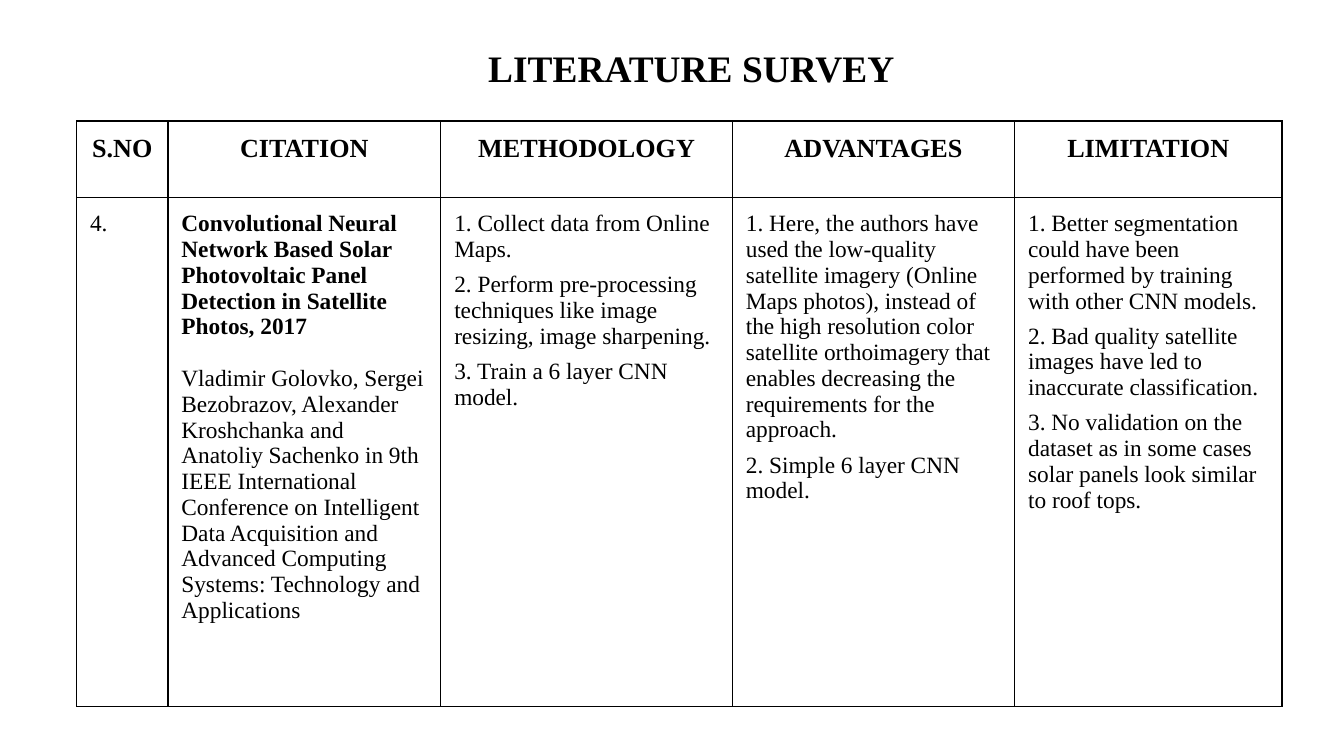
from dataclasses import dataclass

from lxml.etree import SubElement
from pptx import Presentation
from pptx.dml.color import RGBColor
from pptx.enum.text import MSO_ANCHOR as Anchor, MSO_AUTO_SIZE as AutoSize, PP_ALIGN as Align
from pptx.oxml.ns import qn
from pptx.util import Inches, Pt


@dataclass(frozen=True)
class Theme:
    """Colours, font and type sizes of the slide."""
    font: str = "Times New Roman"
    ink: str = "000000"
    title: float = 20
    header: float = 14
    body: float = 12.5
    border: float = 0.75
    gap: float = 5
    citation_gap: float = 13.84


THEME = Theme()
SLIDE_WIDTH = 10
SLIDE_HEIGHT = SLIDE_WIDTH * 9 / 16
COLS = [0.68, 2.03, 2.17, 2.1, 1.99]
ROWS = [0.57, 3.79]
MARGINS = {f"margin_{side}": Inches(0.1) for side in ("left", "top", "right", "bottom")}
HEADERS = ["S.NO", "CITATION", "METHODOLOGY", "ADVANTAGES", "LIMITATION"]
ENTRY = [
    ["4."],
    ["Convolutional Neural Network Based Solar Photovoltaic Panel Detection in "
     "Satellite Photos, 2017",
     "Vladimir Golovko, Sergei Bezobrazov, Alexander Kroshchanka and Anatoliy Sachenko "
     "in 9th IEEE International Conference on Intelligent Data Acquisition and Advanced "
     "Computing Systems: Technology and Applications"],
    ["1. Collect data from Online Maps.",
     "2. Perform pre-processing techniques like image resizing, image sharpening.",
     "3. Train a 6 layer CNN model."],
    ["1. Here, the authors have used the low-quality satellite imagery (Online Maps "
     "photos), instead of the high resolution color satellite orthoimagery that enables "
     "decreasing the requirements for the approach.",
     "2. Simple 6 layer CNN model."],
    ["1. Better segmentation could have been performed by training with other CNN models.",
     "2. Bad quality satellite images have led to inaccurate classification.",
     "3. No validation on the dataset as in some cases solar panels look similar to "
     "roof tops."],
]


def set_all(obj, values):
    """Set each named attribute of an object."""
    for name, value in values.items():
        setattr(obj, name, value)


def write(tf, texts, size, bold=(), align=Align.LEFT, gap=0):
    """Write paragraphs, with those at the indexes in bold set bold."""
    for i, text in enumerate(texts):
        p = tf.add_paragraph() if i else tf.paragraphs[0]
        set_all(p, {"alignment": align, "space_before": Pt(gap if i else 0)})
        r = p.add_run()
        r.text = text
        set_all(r.font, {"name": THEME.font, "size": Pt(size), "bold": i in bold})
        r.font.color.rgb = RGBColor.from_string(THEME.ink)


def add_borders(cell):
    """Draw a thin line on all four sides of a cell."""
    tc_pr = cell._tc.get_or_add_tcPr()
    for i, side in enumerate(("lnL", "lnR", "lnT", "lnB")):
        ln = tc_pr.makeelement(qn(f"a:{side}"), {"w": str(Pt(THEME.border))})
        SubElement(SubElement(ln, qn("a:solidFill")), qn("a:srgbClr"), val=THEME.ink)
        tc_pr.insert(i, ln)


def add_title(s, left, top, width, height):
    """Place the slide title in its box."""
    sp = s.shapes.title
    set_all(sp, {"left": Inches(left), "top": Inches(top),
                 "width": Inches(width), "height": Inches(height)})
    tf = sp.text_frame
    set_all(tf, {"word_wrap": True, "auto_size": AutoSize.NONE,
                 "vertical_anchor": Anchor.MIDDLE, **MARGINS})
    write(tf, ["LITERATURE SURVEY"], THEME.title, bold=(0,), align=Align.CENTER)


def add_survey(s, left, top):
    """Place the survey table with its top left corner at the given point."""
    table = s.shapes.add_table(len(ROWS), len(COLS), Inches(left), Inches(top),
                               Inches(sum(COLS)), Inches(sum(ROWS))).table
    set_all(table, {"first_row": False, "horz_banding": False})
    for col, width in zip(table.columns, COLS):
        col.width = Inches(width)
    for row, height in zip(table.rows, ROWS):
        row.height = Inches(height)
    for cell in table.iter_cells():
        set_all(cell, {"vertical_anchor": Anchor.TOP, **MARGINS})
        cell.fill.background()
        add_borders(cell)
    for i, (header, texts) in enumerate(zip(HEADERS, ENTRY)):
        is_citation = header == "CITATION"
        write(table.cell(0, i).text_frame, [header], THEME.header, (0,), Align.CENTER)
        write(table.cell(1, i).text_frame, texts, THEME.body,
              bold=(0,) if is_citation else (),
              gap=THEME.citation_gap if is_citation else THEME.gap)


def main():
    """Build and save the slide."""
    prs = Presentation()
    set_all(prs, {"slide_width": Inches(SLIDE_WIDTH), "slide_height": Inches(SLIDE_HEIGHT)})
    s = prs.slides.add_slide(prs.slide_layouts[5])
    add_title(s, 1.98, 0.23, 6.33, 0.54)
    add_survey(s, 0.57, 0.9)
    prs.save("out.pptx")


main()
